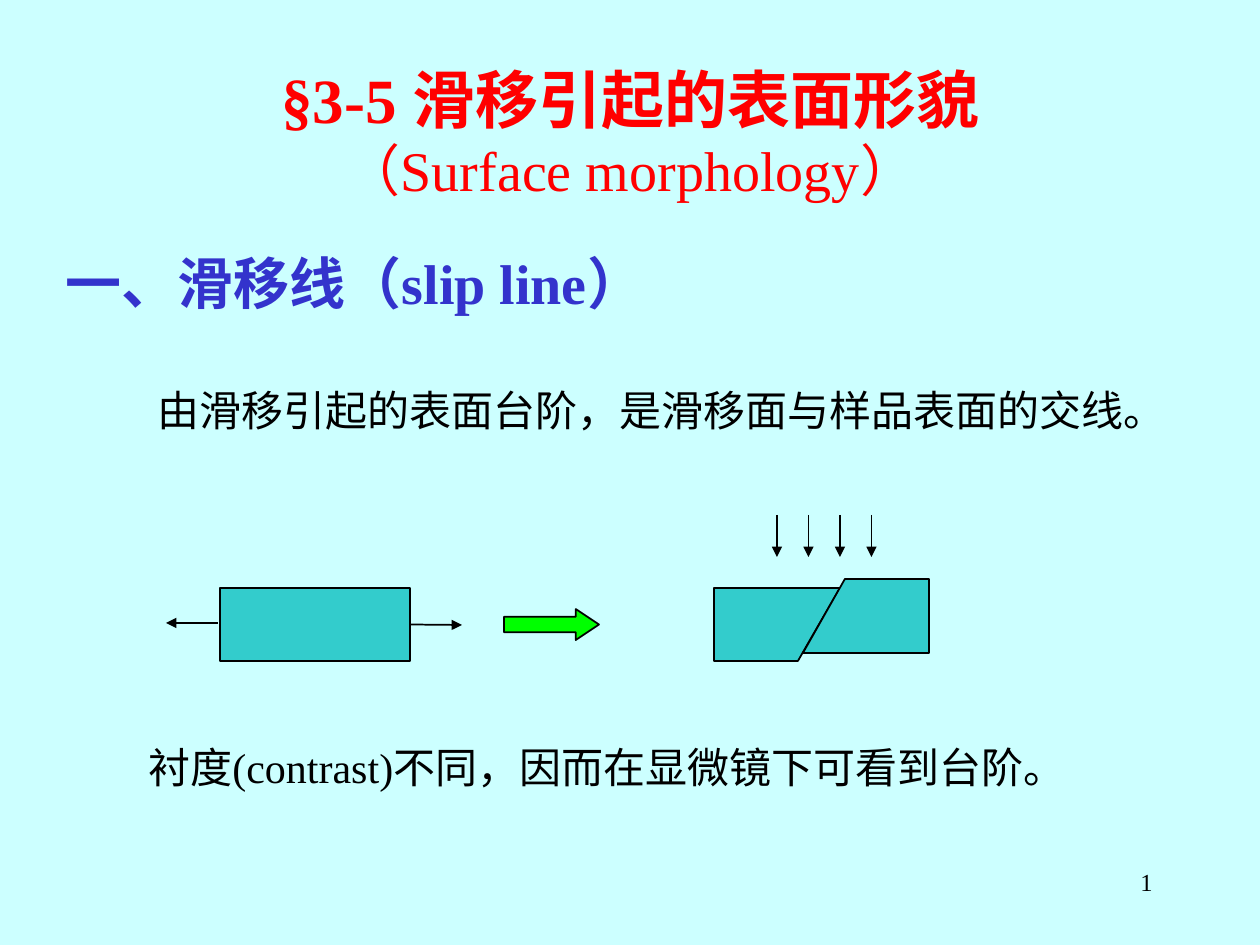
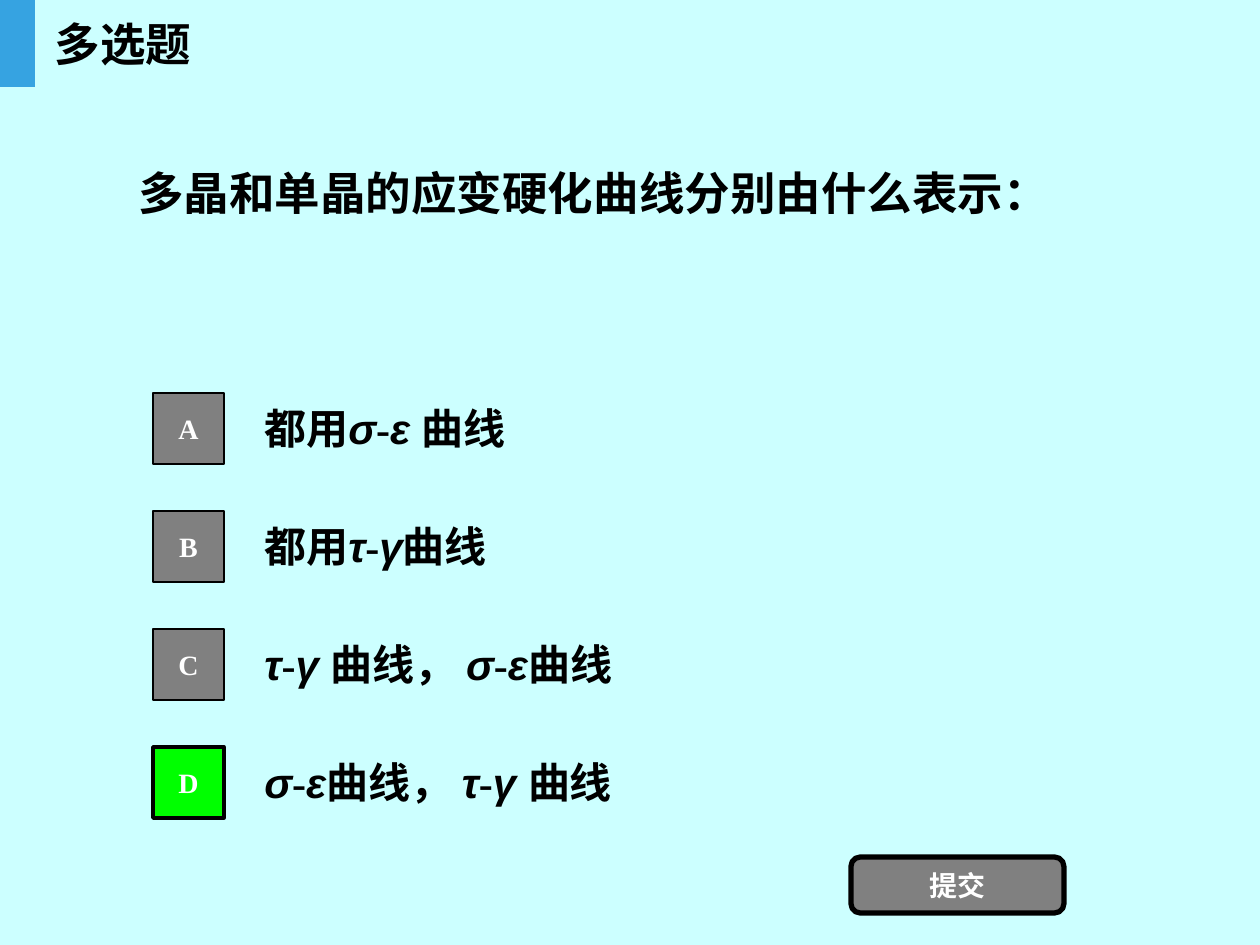
from lxml.etree import SubElement
from pptx import Presentation
from pptx.dml.color import RGBColor
from pptx.enum.shapes import MSO_CONNECTOR, MSO_SHAPE
from pptx.enum.text import MSO_ANCHOR, MSO_AUTO_SIZE, PP_ALIGN
from pptx.oxml.ns import qn
from pptx.util import Pt

PALE = RGBColor(0xCC, 0xFF, 0xFF)
BLACK = RGBColor(0, 0, 0)
WHITE = RGBColor(0xFF, 0xFF, 0xFF)
RED = RGBColor(0xFF, 0, 0)
BLUE = RGBColor(0x33, 0x33, 0xCC)
TEAL = RGBColor(0x33, 0xCC, 0xCC)
GREEN = RGBColor(0, 0xFF, 0)
GREY = RGBColor(0x80, 0x80, 0x80)
SKY = RGBColor(0x36, 0xA3, 0xE1)

SERIF, SANS = "Times New Roman", "Arial"
WIDE, HIGH = 1260, 945

HEAD = "§3-5 滑移引起的表面形貌"
SUB = "（Surface morphology）"
TOPIC = "一、滑移线（slip line）"
MEANING = "由滑移引起的表面台阶，是滑移面与样品表面的交线。"
RESULT = "衬度(contrast)不同，因而在显微镜下可看到台阶。"
PAGE = "1"
LOWER = [(714, 661), (714, 588), (840, 588), (798, 661)]
UPPER = [(929, 579), (929, 653), (803, 653), (845, 579)]

KIND = "多选题"
ASK = "多晶和单晶的应变硬化曲线分别由什么表示："
SEND = "提交"
PLAIN, UP, SLANT = (SERIF, False), (SANS, False), (SANS, True)
CHOICES = [
    ("A", [("都用", UP), ("σ", SLANT), ("-", PLAIN), ("ε ", SLANT), ("曲线", PLAIN)]),
    ("B", [("都用", UP), ("τ", SLANT), ("-", PLAIN), ("γ", SLANT), ("曲线", PLAIN)]),
    ("C", [("τ", SLANT), ("-", PLAIN), ("γ ", SLANT), ("曲", UP), ("线， ", PLAIN),
           ("σ", SLANT), ("-", PLAIN), ("ε", SLANT), ("曲线", PLAIN)]),
    ("D", [("σ", SLANT), ("-", PLAIN), ("ε", SLANT), ("曲", UP), ("线，", PLAIN),
           (" τ", SLANT), ("-", PLAIN), ("γ ", SLANT), ("曲线", PLAIN)]),
]
RIGHT = "D"


def px(n):
    return round(n * 914400 / 126)


def place(shape, box):
    shape.left, shape.top, shape.width, shape.height = map(px, box)


def add_run(para, text, size, color=BLACK, bold=False, face=SERIF, slant=False):
    run = para.add_run()
    run.text = text
    font = run.font
    font.name, font.size, font.bold, font.italic = face, Pt(size), bold, slant
    font.color.rgb = color


def set_frame(shape, align=PP_ALIGN.LEFT, anchor=MSO_ANCHOR.TOP):
    frame = shape.text_frame
    frame.word_wrap = True
    frame.auto_size = MSO_AUTO_SIZE.NONE
    frame.vertical_anchor = anchor
    para = frame.paragraphs[0]
    para.alignment = align
    return para


def add_text(slide, box, align=PP_ALIGN.LEFT, anchor=MSO_ANCHOR.TOP):
    return set_frame(slide.shapes.add_textbox(*map(px, box)), align, anchor)


def set_title(slide, box, align):
    place(slide.shapes.title, box)
    return set_frame(slide.shapes.title, align, MSO_ANCHOR.MIDDLE)


def paint(shape, fill, line=1):
    shape.shadow.inherit = False
    shape.fill.solid()
    shape.fill.fore_color.rgb = fill
    if line:
        shape.line.color.rgb = BLACK
        shape.line.width = Pt(line)
    else:
        shape.line.fill.background()
    return shape


def add_shape(slide, kind, box, fill, line=1):
    return paint(slide.shapes.add_shape(kind, *map(px, box)), fill, line)


def add_label(shape, text):
    add_run(set_frame(shape, PP_ALIGN.CENTER, MSO_ANCHOR.MIDDLE), text, 16, WHITE, True)


def add_block(slide, points):
    build = slide.shapes.build_freeform(*map(px, points[0]))
    build.add_line_segments([tuple(map(px, p)) for p in points[1:]], close=True)
    paint(build.convert_to_shape(), TEAL)


def add_arrow(slide, *ends):
    arrow = slide.shapes.add_connector(MSO_CONNECTOR.STRAIGHT, *map(px, ends))
    arrow.line.color.rgb = BLACK
    arrow.line.width = Pt(1)
    SubElement(arrow.line._get_or_add_ln(), qn("a:tailEnd"), type="triangle")
    SubElement(arrow._element.spPr, qn("a:effectLst"))
    return arrow


def build_slip(slide):
    para = set_title(slide, (95, 53, 1071, 157), PP_ALIGN.CENTER)
    add_run(para, HEAD, 36, RED, True)
    para = slide.shapes.title.text_frame.add_paragraph()
    para.alignment = PP_ALIGN.CENTER
    add_run(para, SUB, 32, RED)

    para = add_text(slide, (53, 242, 1008, 95))
    para.space_before = Pt(8)
    add_run(para, TOPIC, 32, BLUE, True)

    para = add_text(slide, (95, 343, 1113, 98))
    para.space_before = Pt(15)
    para.line_spacing = 1.7
    para._p.get_or_add_pPr().set("indent", str(px(50)))
    add_run(para, MEANING, 24)

    bar = add_shape(slide, MSO_SHAPE.RECTANGLE, (220, 588, 190, 73), TEAL)
    add_arrow(slide, 410, 625, 462, 625).begin_connect(bar, 3)
    add_arrow(slide, 218, 623, 166, 623)
    then = add_shape(slide, MSO_SHAPE.RIGHT_ARROW, (504, 609, 95, 31), GREEN)
    then.adjustments[1] = 0.75
    for points in (LOWER, UPPER):
        add_block(slide, points)
    for i in range(4):
        x = 777 + 63 * i / 2
        add_arrow(slide, x, 515, x, 557)

    para = add_text(slide, (136, 735, 966, 63))
    para.space_before = Pt(15)
    add_run(para, RESULT, 24)
    add_run(add_text(slide, (903, 861, 262, 63), PP_ALIGN.RIGHT), PAGE, 14)


def build_quiz(slide):
    add_run(set_title(slide, (42, 0, 175, 87), PP_ALIGN.LEFT), KIND, 26, bold=True)
    add_shape(slide, MSO_SHAPE.RECTANGLE, (0, 0, 35, 87), SKY, 0)
    para = add_text(slide, (126, 45, 1008, 295), anchor=MSO_ANCHOR.MIDDLE)
    add_run(para, ASK, 26, bold=True)

    for i, (mark, parts) in enumerate(CHOICES):
        y = 384 + 118 * i
        para = add_text(slide, (252, y, 882, 88), anchor=MSO_ANCHOR.MIDDLE)
        for text, (face, slant) in parts:
            add_run(para, text, 24, BLACK, True, face, slant)
        fill, line = (GREEN, 2) if mark == RIGHT else (GREY, 1)
        box = add_shape(slide, MSO_SHAPE.RECTANGLE, (153, y + 9, 71, 71), fill, line)
        add_label(box, mark)

    send = add_shape(slide, MSO_SHAPE.ROUNDED_RECTANGLE, (851, 857, 213, 56), GREY, 3)
    add_label(send, SEND)


def main():
    deck = Presentation()
    deck.slide_width, deck.slide_height = px(WIDE), px(HIGH)
    back = deck.slide_master.background.fill
    back.solid()
    back.fore_color.rgb = PALE
    for build in (build_slip, build_quiz):
        build(deck.slides.add_slide(deck.slide_layouts[5]))
    deck.save("out.pptx")


if __name__ == "__main__":
    main()
